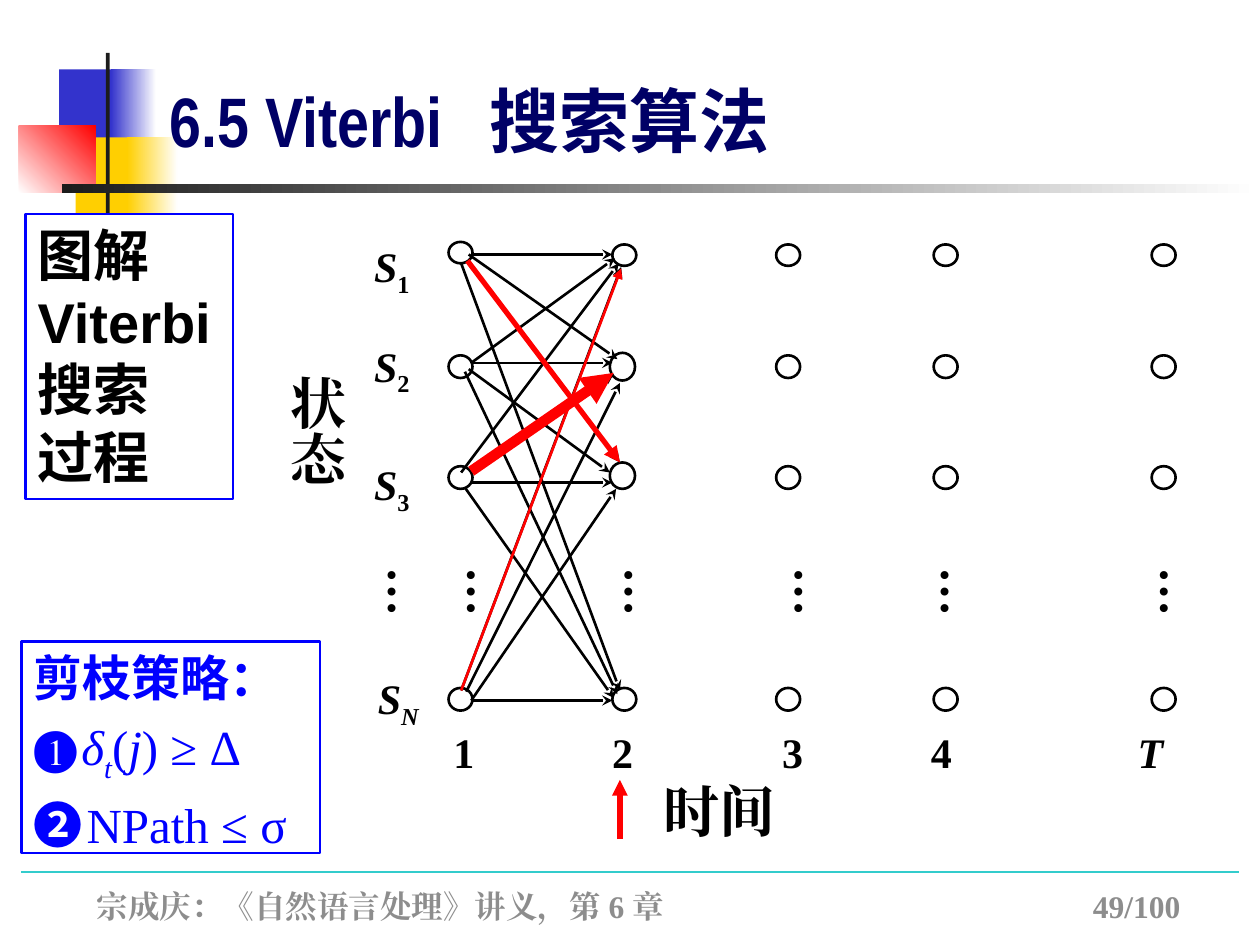
from lxml.etree import SubElement
from pptx import Presentation
from pptx.dml.color import RGBColor
from pptx.enum.shapes import MSO_CONNECTOR as Connector, MSO_SHAPE as Preset
from pptx.enum.text import MSO_ANCHOR as Anchor, PP_ALIGN as Align
from pptx.oxml.ns import qn
from pptx.util import Inches, Pt

TIMES, ARIAL, NARROW, NOTO = "Times New Roman", "Arial", "Arial Narrow", "Noto Sans CJK SC"
BLACK, WHITE, BLUE, RED, NAVY = "000000", "FFFFFF", "0000FF", "FF0000", "000066"
INDIGO, GOLD, CHARCOAL, GREY, TEAL = "3333CC", "FFCF01", "1C1C1C", "8D8D8D", "33CCCC"

TIME_X = (3.56, 4.86, 6.16, 7.41, 9.14)
STATE_Y = (1.94, 2.82, 3.7, 5.46)
SPECIAL_NODES = {
    (0, 0): (3.56, 1.92, 0.19, 0.17),
    (1, 1): (4.84, 2.8, 0.2, 0.22),
    (1, 2): (4.84, 3.67, 0.2, 0.21),
}
TRANSITIONS = (
    ((3.74, 2.02), (4.86, 2.02)), ((3.72, 2.02), (4.9, 2.85)),
    ((3.71, 2.07), (4.92, 3.67)), ((3.66, 2.09), (4.92, 5.48)),
    ((3.74, 2.88), (4.88, 2.05)), ((3.74, 2.88), (4.86, 2.88)),
    ((3.72, 2.93), (4.84, 3.75)), ((3.69, 2.95), (4.9, 5.51)),
    ((3.66, 3.75), (4.91, 2.09)), ((3.74, 3.75), (4.87, 2.97)),
    ((3.74, 3.83), (4.86, 3.83)), ((3.69, 3.87), (4.87, 5.54)),
    ((3.66, 5.48), (4.93, 2.12)), ((3.7, 5.49), (4.92, 3.04)),
    ((3.74, 5.56), (4.89, 3.88)), ((3.74, 5.56), (4.86, 5.56)),
)
BEST_PATHS = (
    ((3.74, 3.74), (4.87, 2.96), 6),
    ((3.71, 2.07), (4.92, 3.67), 3),
    ((3.66, 5.48), (4.93, 2.13), 1.5),
    ((4.92, 6.66), (4.92, 6.19), 3),
)


def rgb(value):
    """Turn a hex string into a colour."""
    return RGBColor.from_string(value)


def add_run(paragraph, text, size, font=TIMES, color=BLACK, bold=True, italic=False, sub=False):
    """Append one formatted run to a paragraph."""
    run = paragraph.add_run()
    run.text = text
    run.font.size = Pt(size)
    run.font.name = font
    run.font.bold = bold
    run.font.italic = italic
    run.font.color.rgb = rgb(color)
    properties = run._r.get_or_add_rPr()
    SubElement(properties, qn("a:ea")).set("typeface", font)
    if sub:
        properties.set("baseline", "-25000")


def add_tab(paragraph, position, align):
    """Set one tab stop on a paragraph."""
    stops = SubElement(paragraph._p.get_or_add_pPr(), qn("a:tabLst"))
    stop = SubElement(stops, qn("a:tab"))
    stop.set("pos", str(Inches(position)))
    stop.set("algn", align)


def add_label(slide, box, align=Align.LEFT, anchor=Anchor.TOP, vertical=False):
    """Add a text box and return its first paragraph."""
    frame = slide.shapes.add_textbox(*map(Inches, box)).text_frame
    frame.word_wrap = True
    frame.vertical_anchor = anchor
    if vertical:
        frame._txBody.bodyPr.set("vert", "eaVert")
    paragraph = frame.paragraphs[0]
    paragraph.alignment = align
    return paragraph


def add_block(slide, box, fill=None, fade=None, angle=0, line=None, preset=Preset.RECTANGLE):
    """Add a preset shape with a plain, faded or empty fill."""
    block = slide.shapes.add_shape(preset, *map(Inches, box))
    block.shadow.inherit = False
    if fade:
        block.fill.gradient()
        block.fill.gradient_angle = angle
        for stop, color in zip(block.fill.gradient_stops, (fill, fade)):
            stop.color.rgb = rgb(color)
    elif fill:
        block.fill.solid()
        block.fill.fore_color.rgb = rgb(fill)
    else:
        block.fill.background()
    if line:
        block.line.color.rgb = rgb(line)
        block.line.width = Pt(1.5)
    else:
        block.line.fill.background()
    return block


def add_panel(slide, box, lines, fill=None):
    """Add a blue-framed panel; each line is a space before and its runs."""
    frame = add_block(slide, box, fill, line=BLUE).text_frame
    frame.word_wrap = True
    frame.vertical_anchor = Anchor.TOP
    for index, (before, runs) in enumerate(lines):
        paragraph = frame.add_paragraph() if index else frame.paragraphs[0]
        paragraph.alignment = Align.LEFT
        paragraph.space_before = Pt(before)
        for text, size, style in runs:
            add_run(paragraph, text, size, **style)


def add_arrow(slide, start, end, color=BLACK, width=1.5, head=None):
    """Add a straight line with an optional arrowhead at its end."""
    arrow = slide.shapes.add_connector(Connector.STRAIGHT, *map(Inches, start + end))
    arrow.line.color.rgb = rgb(color)
    arrow.line.width = Pt(width)
    if head:
        SubElement(arrow.line._get_or_add_ln(), qn("a:tailEnd")).set("type", head)
    SubElement(arrow._element.spPr, qn("a:effectLst"))


def add_frame(slide):
    """Draw the decoration, the title and the footer."""
    add_arrow(slide, (0.17, 6.92), (9.83, 6.92), TEAL, 0.75)
    add_block(slide, (0.47, 0.55, 0.48, 0.6), INDIGO)
    add_block(slide, (0.88, 0.55, 0.36, 0.6), INDIGO, WHITE)
    add_block(slide, (0.6, 1.09, 0.46, 0.6), GOLD)
    add_block(slide, (1.01, 1.09, 0.4, 0.6), GOLD, WHITE)
    add_block(slide, (0.15, 1, 0.61, 0.53), WHITE, RED, 45)
    add_block(slide, (0.84, 0.42, 0.03, 1.33), CHARCOAL)
    add_block(slide, (0.49, 1.46, 9.51, 0.07), CHARCOAL, WHITE)
    footer = add_label(slide, (0.67, 6.99, 9.16, 0.4))
    add_tab(footer, 8.6, "r")
    add_run(footer, "宗成庆：《自然语言处理》讲义，第 6 章\t49/100", 18, color=GREY)
    title = add_label(slide, (1.25, 0.5, 5.95, 0.83), anchor=Anchor.BOTTOM)
    add_tab(title, 2.54, "l")
    add_run(title, "6.5 Viterbi\t", 40, NARROW, NAVY)
    add_run(title, "搜索算法", 40, NOTO, NAVY)


def add_trellis(slide):
    """Draw the states over time with their transitions and labels."""
    for column, x in enumerate(TIME_X):
        for row, y in enumerate(STATE_Y):
            box = SPECIAL_NODES.get((column, row), (x, y, 0.19, 0.18 if row else 0.17))
            add_block(slide, box, WHITE, line=BLACK, preset=Preset.OVAL)
    for start, end in TRANSITIONS:
        add_arrow(slide, start, end, head="stealth")
    for state, x, y in (("1", 2.87, 1.86), ("2", 2.87, 2.65), ("3", 2.87, 3.59), ("N", 2.9, 5.29)):
        label = add_label(slide, (x, y, 0.69, 0.5))
        add_run(label, "S", 24, italic=True)
        add_run(label, state, 24, italic=state == "N", sub=True)
    for time, x in (("1", 3.5), ("2", 4.76), ("3", 6.11), ("4", 7.29), ("T", 8.93)):
        add_run(add_label(slide, (x, 5.72, 0.5, 0.47)), time, 24, italic=time == "T")
    for x in (2.72, 3.35, 4.6, 5.95, 7.11, 8.85):
        add_run(add_label(slide, (x, 4.41, 0.8, 0.6), vertical=True), "…", 28)
    add_run(add_label(slide, (2.09, 2.88, 0.74, 2.13), vertical=True), "状态", 32)
    add_run(add_label(slide, (5, 6.11, 1.42, 0.55), Align.CENTER), "时间", 32)
    for start, end, width in BEST_PATHS:
        add_arrow(slide, start, end, RED, width, "triangle")


def add_panels(slide):
    """Add the caption panel and the pruning panel."""
    caption = [(0, [(text, 32, {"font": ARIAL})]) for text in ("图解", "Viterbi", "搜索", "过程")]
    add_panel(slide, (0.2, 1.7, 1.65, 2.26), caption, WHITE)
    heading = {"font": NOTO, "color": BLUE}
    formula = {"color": BLUE, "bold": False}
    variable = {**formula, "italic": True}
    add_panel(slide, (0.17, 5.09, 2.37, 1.68), [
        (0, [("剪枝策略：", 28, heading)]),
        (6, [("❶", 28, formula), (" ", 10, formula), ("δ", 28, variable),
             ("t", 28, {**variable, "sub": True}), ("(", 28, formula),
             ("j", 28, variable), (") ≥ Δ", 28, formula)]),
        (6, [("❷", 28, heading), (" ", 10, heading), ("NPath ≤ σ", 28, formula)]),
    ])


def main():
    """Build the slide and save it."""
    deck = Presentation()
    deck.slide_width, deck.slide_height = Inches(10), Inches(7.5)
    slide = deck.slides.add_slide(deck.slide_layouts[6])
    add_frame(slide)
    add_trellis(slide)
    add_panels(slide)
    deck.save("out.pptx")


if __name__ == "__main__":
    main()
